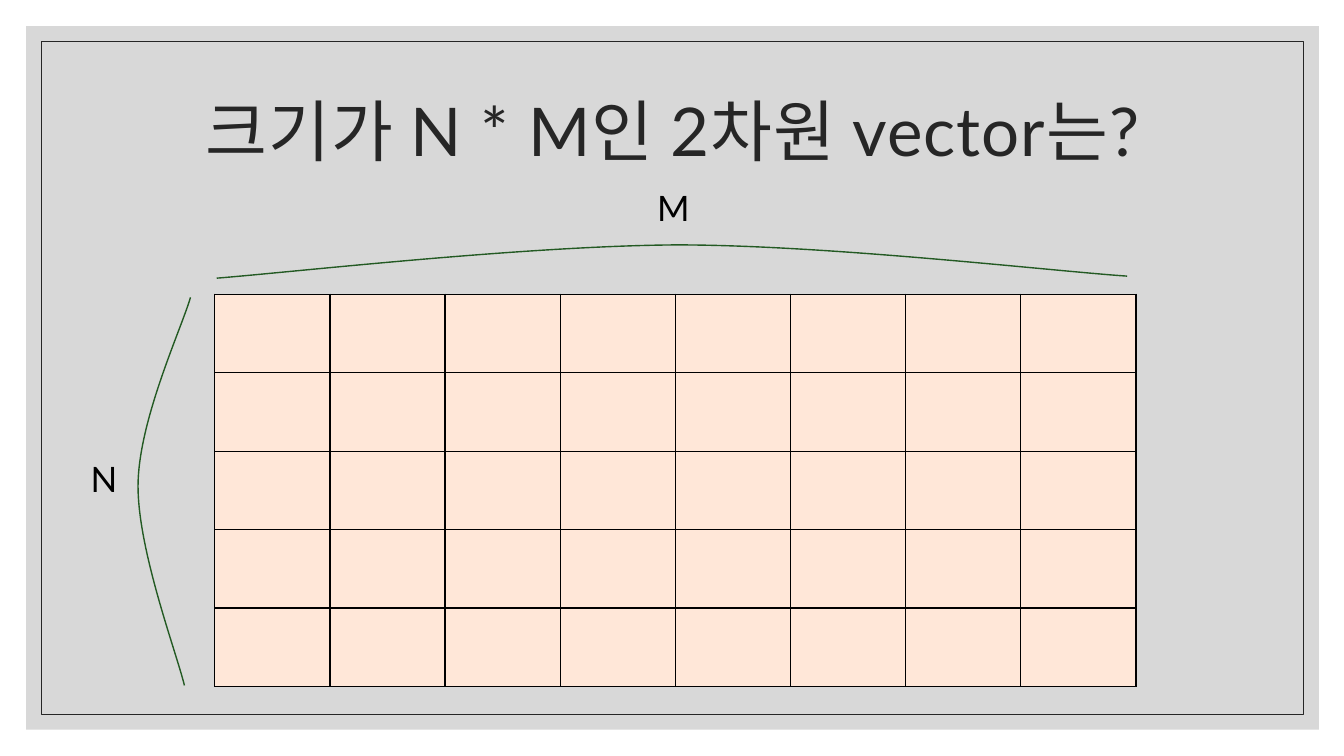
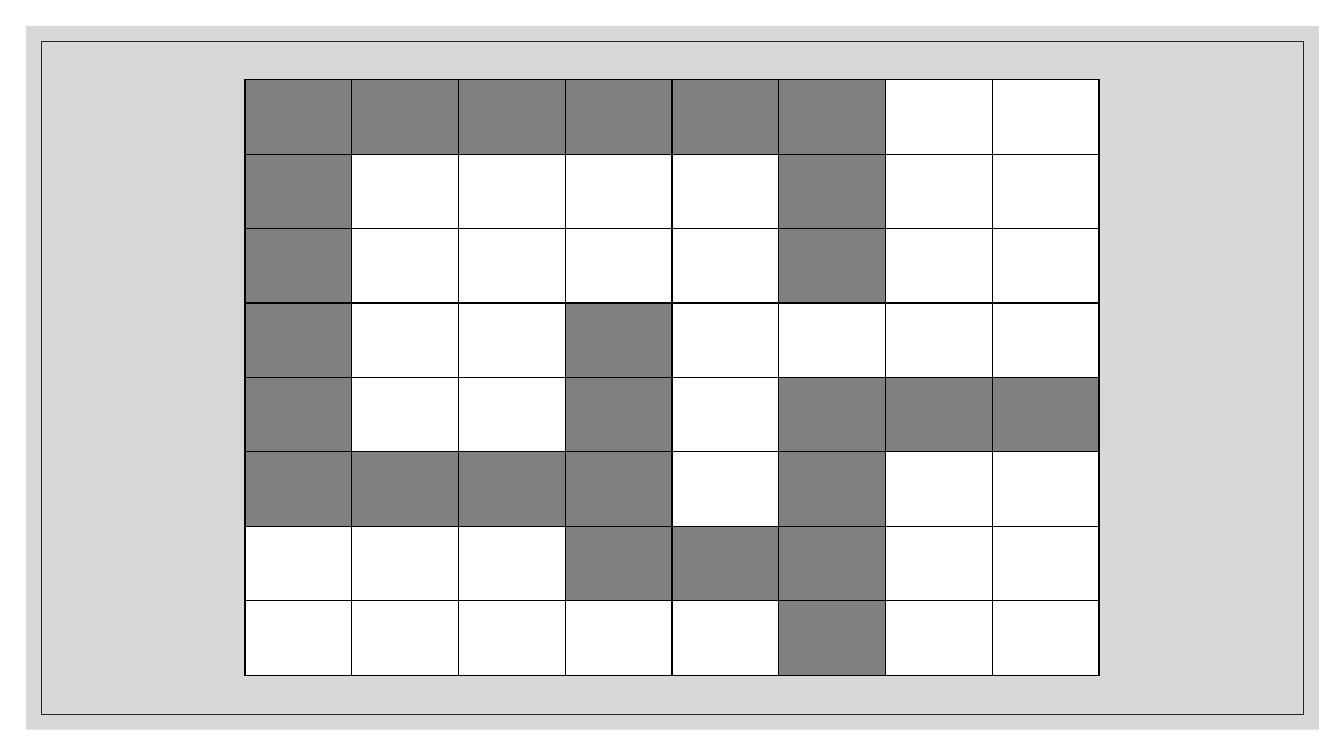
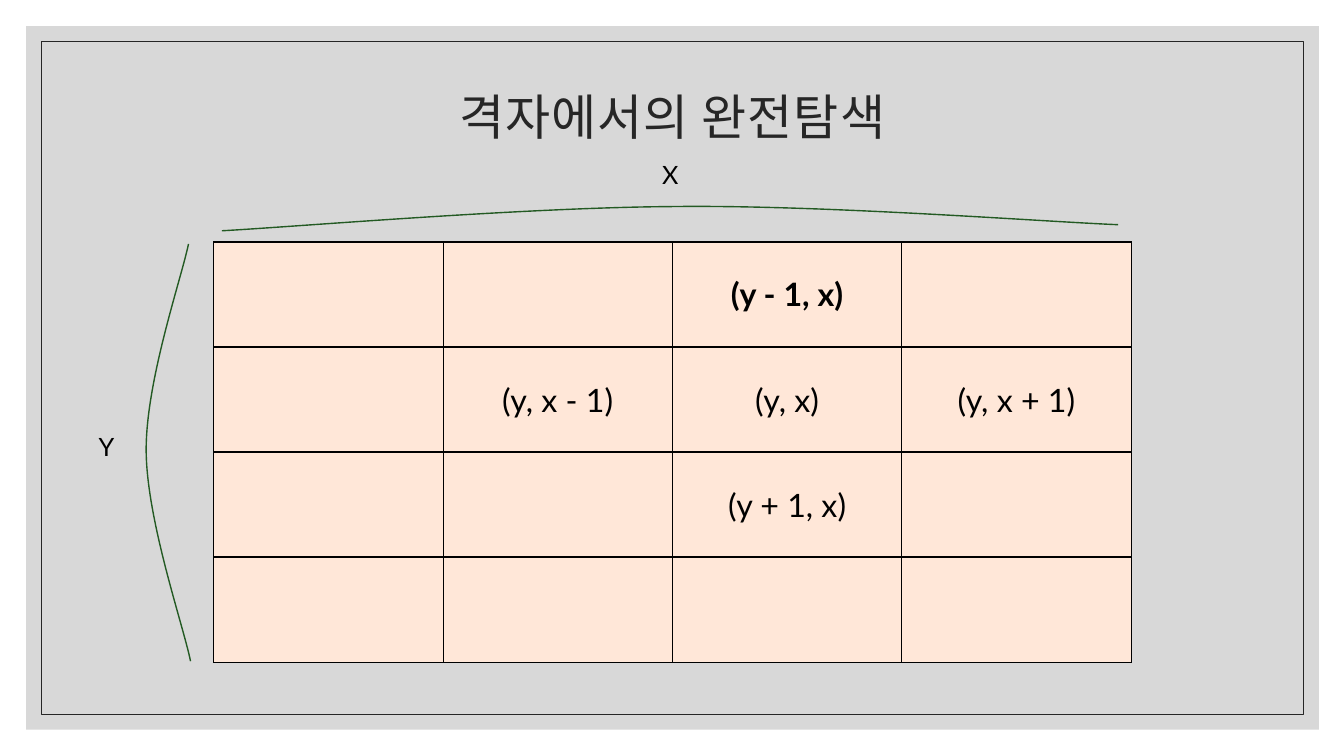
from lxml import etree
from pptx import Presentation
from pptx.dml.color import RGBColor
from pptx.enum.shapes import MSO_SHAPE
from pptx.enum.text import MSO_ANCHOR, MSO_AUTO_SIZE, PP_ALIGN
from pptx.oxml.ns import qn
from pptx.util import Inches, Pt

RECTANGLE = MSO_SHAPE.RECTANGLE
MIDDLE = MSO_ANCHOR.MIDDLE
CENTER = PP_ALIGN.CENTER
NO_FIT, GROW = MSO_AUTO_SIZE.NONE, MSO_AUTO_SIZE.SHAPE_TO_FIT_TEXT

COLORS = {
    "panel": "BFBFBF",
    "title": "262626",
    "text": "000000",
    "border": "000000",
    "brace": "235A23",
    "peach": "FFE7D8",
    "wall": "808080",
    "open": "FFFFFF",
}
FONT = "Lato"
TITLE_ONLY, BLANK = 5, 6
MAZE = [
    "######..",
    "#....#..",
    "#....#..",
    "#..#....",
    "#..#.###",
    "####.#..",
    "...###..",
    ".....#..",
]
NEIGHBORS = {
    (0, 2): "(y - 1, x)",
    (1, 1): "(y, x - 1)",
    (1, 2): "(y, x)",
    (1, 3): "(y, x + 1)",
    (2, 2): "(y + 1, x)",
}


def rgb(name):
    return RGBColor.from_string(COLORS[name])


def inches(values):
    return [Inches(value) for value in values]


def add_span(para, text, size, color="text", bold=False):
    span = para.add_run()
    span.text = text
    span.font.name = FONT
    span.font.size = Pt(size)
    span.font.bold = bold
    span.font.color.rgb = rgb(color)


def add_master_frame(deck, page):
    """Draw the panel and its thin frame, then move both to the slide master."""
    panel = page.shapes.add_shape(RECTANGLE, *inches((0.26, 0.26, 12.82, 6.98)))
    panel.fill.solid()
    panel.fill.fore_color.rgb = rgb("panel")
    panel.line.fill.background()
    for color in panel.element.spPr.iter(qn("a:srgbClr")):
        etree.SubElement(color, qn("a:alpha"), val="60000")

    frame = page.shapes.add_shape(RECTANGLE, *inches((0.41, 0.41, 12.52, 6.68)))
    frame.fill.background()
    frame.line.color.rgb = rgb("title")
    frame.line.width = Pt(0.5)

    for position, shape in enumerate((panel, frame), start=2):
        shape.shadow.inherit = False
        deck.slide_master.shapes.element.insert(position, shape.element)


def set_title(page, text, size, height):
    title = page.shapes.title
    title.left, title.top, title.width, title.height = inches((1.17, 0.51, 11, height))
    frame = title.text_frame
    frame.auto_size = NO_FIT
    frame.word_wrap = True
    frame.vertical_anchor = MIDDLE
    frame.margin_left = frame.margin_right = frame.margin_top = Inches(0.12)
    frame.margin_bottom = Inches(0.1)
    para = frame.paragraphs[0]
    para.alignment = CENTER
    para.line_spacing = 1.05
    add_span(para, text, size, "title")
    for properties in title.element.iter(qn("a:rPr")):
        properties.set("spc", "70")


def add_label(page, at, text, size):
    box = page.shapes.add_textbox(*inches(at))
    box.text_frame.word_wrap = False
    box.text_frame.auto_size = GROW
    add_span(box.text_frame.paragraphs[0], text, size)


def add_brace(page, start, *points):
    """Draw a curve; points hold two controls and an end for each segment."""
    builder = page.shapes.build_freeform(*inches(start))
    builder.add_line_segments([inches(point) for point in points], close=False)
    brace = builder.convert_to_shape()
    brace.shadow.inherit = False
    brace.fill.background()
    brace.line.color.rgb = rgb("brace")
    brace.line.width = Pt(1)
    outline = next(brace.element.iter(qn("a:path")))
    lines = outline.findall(qn("a:lnTo"))
    for first in range(0, len(lines), 3):
        curve = etree.SubElement(outline, qn("a:cubicBezTo"))
        for line in lines[first:first + 3]:
            curve.append(line[0])
            outline.remove(line)


def add_borders(holder):
    for properties in holder.element.iter(qn("a:tcPr")):
        for position, side in enumerate(("lnL", "lnR", "lnT", "lnB")):
            border = etree.Element(qn(f"a:{side}"), w=str(Pt(1)))
            fill = etree.SubElement(border, qn("a:solidFill"))
            etree.SubElement(fill, qn("a:srgbClr"), val=COLORS["border"])
            properties.insert(position, border)


def add_grid(page, at, fills, texts=None):
    """Add a table of equal cells; fills is a matrix of color names."""
    rows, columns = len(fills), len(fills[0])
    left, top, width, height = at
    holder = page.shapes.add_table(rows, columns, *inches(at))
    table = holder.table
    table.first_row = table.horz_banding = False
    for column in table.columns:
        column.width = Inches(width / columns)
    for row in table.rows:
        row.height = Inches(height / rows)
    for r, names in enumerate(fills):
        for c, name in enumerate(names):
            cell = table.cell(r, c)
            cell.fill.solid()
            cell.fill.fore_color.rgb = rgb(name)
            if texts and (r, c) in texts:
                cell.vertical_anchor = MIDDLE
                para = cell.text_frame.paragraphs[0]
                para.alignment = CENTER
                add_span(para, texts[r, c], 23, bold=r == 0)
    add_borders(holder)


def add_vector_slide(page):
    set_title(page, "크기가 N * M인 2차원 vector는?", 48, 1.5)
    add_brace(page, (1.89, 2.95), (1.8, 3.26), (1.38, 4.16), (1.37, 4.8),
              (1.36, 5.44), (1.75, 6.47), (1.83, 6.8))
    add_label(page, (0.8, 4.49, 0.49, 0.51), "N", 25)
    add_grid(page, (2.13, 2.92, 9.14, 3.89), [["peach"] * 8] * 5)
    add_brace(page, (2.15, 2.76), (2.91, 2.7), (5.2, 2.44), (6.71, 2.43),
              (8.21, 2.43), (10.44, 2.69), (11.18, 2.74))
    add_label(page, (6.42, 1.8, 0.53, 0.51), "M", 25)


def add_maze_slide(page):
    fills = [["wall" if mark == "#" else "open" for mark in row] for row in MAZE]
    add_grid(page, (2.43, 0.79, 8.47, 5.91), fills)


def add_search_slide(page):
    set_title(page, "격자에서의 완전탐색", 35, 1.23)
    add_grid(page, (2.12, 2.4, 9.1, 4.17), [["peach"] * 4] * 4, NEIGHBORS)
    add_brace(page, (1.87, 2.42), (1.8, 2.76), (1.45, 3.77), (1.45, 4.46),
              (1.45, 5.15), (1.82, 6.21), (1.89, 6.56))
    add_brace(page, (2.2, 2.29), (2.94, 2.25), (5.18, 2.06), (6.66, 2.05),
              (8.14, 2.03), (10.35, 2.2), (11.09, 2.23))
    add_label(page, (6.47, 1.53, 0.4, 0.4), "X", 18)
    add_label(page, (0.88, 4.23, 0.41, 0.4), "Y", 18)


def main():
    deck = Presentation()
    deck.slide_width, deck.slide_height = inches((13.33, 7.5))
    layouts = deck.slide_layouts
    pages = [deck.slides.add_slide(layouts[kind])
             for kind in (TITLE_ONLY, BLANK, TITLE_ONLY)]
    add_master_frame(deck, pages[0])
    add_vector_slide(pages[0])
    add_maze_slide(pages[1])
    add_search_slide(pages[2])
    deck.save("out.pptx")


if __name__ == "__main__":
    main()
